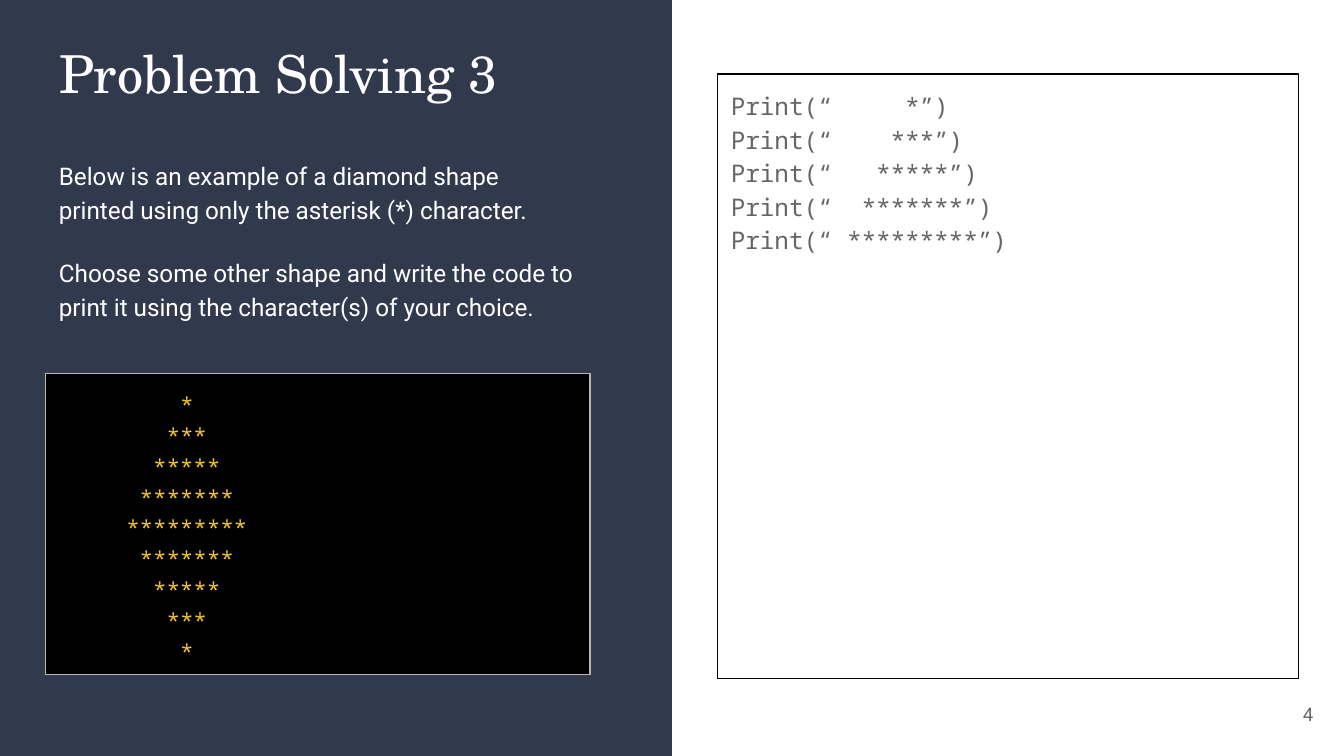
from dataclasses import dataclass
from typing import Optional

from pptx import Presentation
from pptx.dml.color import RGBColor
from pptx.enum.shapes import MSO_SHAPE
from pptx.enum.text import MSO_ANCHOR, MSO_AUTO_SIZE, PP_ALIGN
from pptx.util import Inches, Pt

COLORS = {
    "navy": "31394D",
    "white": "FFFFFF",
    "black": "000000",
    "gray": "666666",
    "silver": "B7B7B7",
    "gold": "F1C232",
}
SERIF, SANS, MONO = "TeX Gyre Schola", "Roboto", "Noto Sans Mono"
INSET = 0.1
SLIDE_WIDTH = 10
SLIDE_HEIGHT = SLIDE_WIDTH * 9 / 16


@dataclass(frozen=True)
class Box:
    left: float
    top: float
    width: float
    height: float
    fill: Optional[str] = None
    line: Optional[str] = None

    def lengths(self) -> tuple:
        return tuple(Inches(n) for n in (self.left, self.top, self.width, self.height))


PANEL = Box(0, 0, SLIDE_WIDTH / 2, SLIDE_HEIGHT, fill="navy")
TITLE = Box(0.34, 0.21, 4.05, 2.24)
TASK = Box(0.34, 1.07, 4.05, 1.42)
EXAMPLE = Box(0.34, 2.78, 4.05, 2.24, fill="black", line="silver")
ANSWER = Box(5.34, 0.55, 4.32, 4.5, line="black")
PAGE_NUMBER = Box(9.27, 5.1, 0.6, 0.43)


def rgb(name: str) -> RGBColor:
    return RGBColor.from_string(COLORS[name])


def add_rectangle(slide, box: Box):
    shape = slide.shapes.add_shape(MSO_SHAPE.RECTANGLE, *box.lengths())
    shape.shadow.inherit = False
    if box.fill:
        shape.fill.solid()
        shape.fill.fore_color.rgb = rgb(box.fill)
    else:
        shape.fill.background()
    if box.line:
        shape.line.color.rgb = rgb(box.line)
        shape.line.width = Pt(0.75)
    else:
        shape.line.fill.background()
    return shape


def add_text_box(slide, box: Box):
    return slide.shapes.add_textbox(*box.lengths())


def write_text(shape, lines: list[str], *, font: str, size: float, color: str,
               align=PP_ALIGN.LEFT, anchor=MSO_ANCHOR.TOP, spacing: float = 1.0,
               gap: float = 0, right_inset: float = INSET) -> None:
    frame = shape.text_frame
    frame.word_wrap = True
    frame.auto_size = MSO_AUTO_SIZE.NONE
    frame.vertical_anchor = anchor
    frame.margin_left = frame.margin_top = frame.margin_bottom = Inches(INSET)
    frame.margin_right = Inches(right_inset)
    for index, line in enumerate(lines):
        paragraph = frame.add_paragraph() if index else frame.paragraphs[0]
        paragraph.alignment = align
        paragraph.line_spacing = spacing
        paragraph.space_before = Pt(gap if index else 0)
        paragraph.space_after = Pt(0)
        run = paragraph.add_run()
        run.text = line
        run.font.name = font
        run.font.size = Pt(size)
        run.font.color.rgb = rgb(color)


def main() -> None:
    presentation = Presentation()
    presentation.slide_width = Inches(SLIDE_WIDTH)
    presentation.slide_height = Inches(SLIDE_HEIGHT)
    slide = presentation.slides.add_slide(presentation.slide_layouts[5])

    # Title on the dark left half
    title = slide.shapes.title
    title.left, title.top, title.width, title.height = TITLE.lengths()
    write_text(title, ["Problem Solving 3"], font=SERIF, size=28, color="white")
    panel = add_rectangle(slide, PANEL)
    title.element.addprevious(panel.element)

    # Task description
    write_text(add_text_box(slide, TASK), [
        "Below is an example of a diamond shape printed using only the asterisk (*) character.",
        "Choose some other shape and write the code to print it using the character(s) of your choice.",
    ], font=SANS, size=13, color="white", spacing=1.15, gap=16)

    # Diamond, centred in a column at the left of its box
    triangle = ["*" * count for count in range(1, 10, 2)]
    write_text(add_rectangle(slide, EXAMPLE), triangle + triangle[-2::-1],
               font=MONO, size=12, color="gold", align=PP_ALIGN.CENTER,
               spacing=1.15, right_inset=2.05)

    # Code that prints the upper half; the spaces belong to its strings
    code = [f"Print(“{' ' * (5 - row)}{stars}”)" for row, stars in enumerate(triangle)]
    write_text(add_rectangle(slide, ANSWER), code,
               font=MONO, size=13, color="gray", spacing=1.15)

    # Page number
    write_text(add_text_box(slide, PAGE_NUMBER), ["4"], font=SANS, size=10,
               color="gray", align=PP_ALIGN.RIGHT, anchor=MSO_ANCHOR.MIDDLE)

    presentation.save("out.pptx")


if __name__ == "__main__":
    main()
